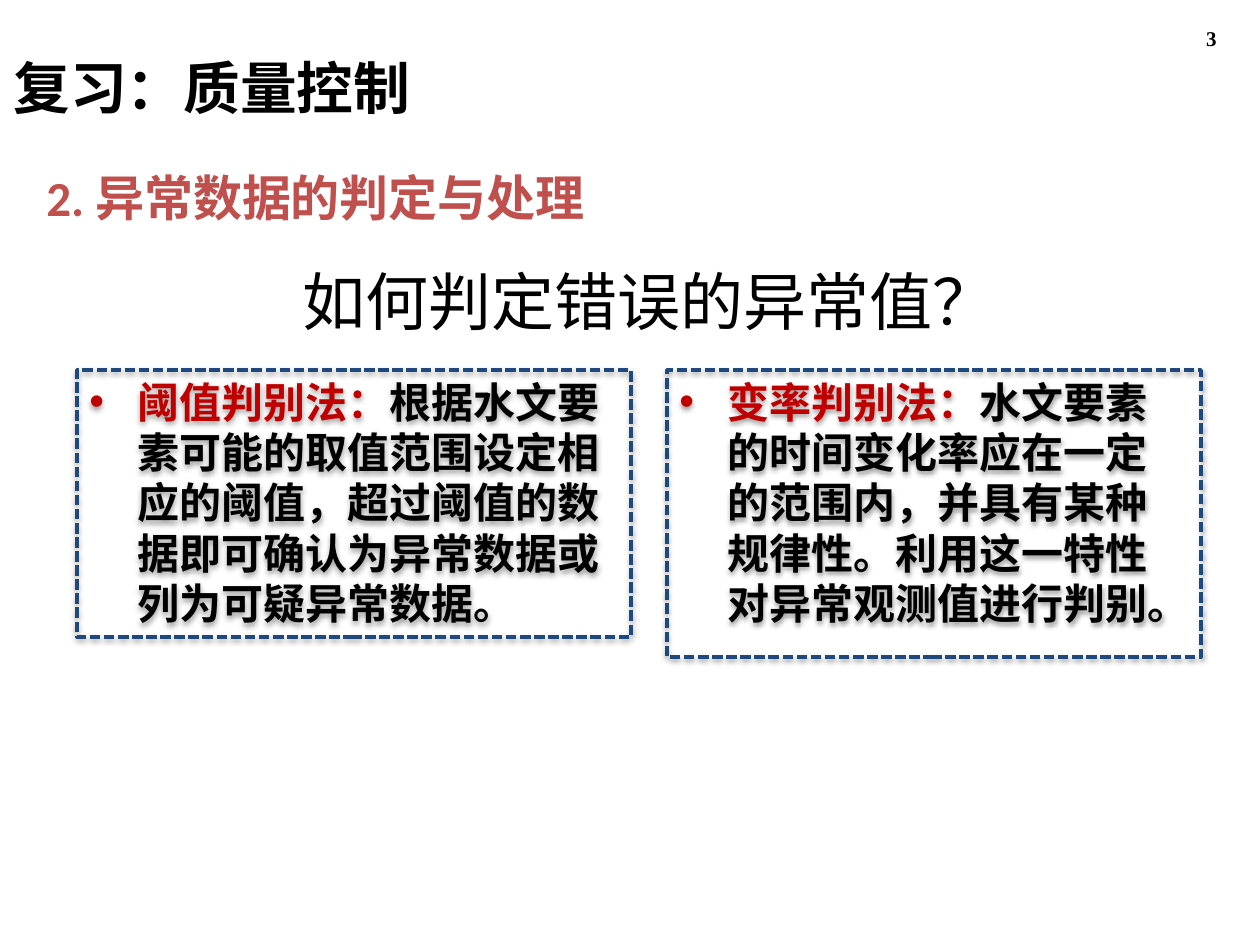
from lxml import etree
from pptx import Presentation
from pptx.dml.color import RGBColor
from pptx.enum.dml import MSO_LINE
from pptx.enum.shapes import MSO_SHAPE
from pptx.enum.text import MSO_ANCHOR, PP_ALIGN
from pptx.oxml import parse_xml
from pptx.oxml.ns import qn
from pptx.util import Pt

PX = 914400 / 126
LEFT, RIGHT = PP_ALIGN.LEFT, PP_ALIGN.RIGHT
TOP, MIDDLE = MSO_ANCHOR.TOP, MSO_ANCHOR.MIDDLE
RECTANGLE, DASH = MSO_SHAPE.RECTANGLE, MSO_LINE.SQUARE_DOT
BLACK = RGBColor(0x00, 0x00, 0x00)
RED = RGBColor(0xC0, 0x00, 0x00)
BRICK = RGBColor(0xC0, 0x50, 0x4D)
NAVY = RGBColor(0x1F, 0x49, 0x7D)
CHINESE_FONT = "Noto Sans CJK SC"
SHADOW = (
    '<a:effectLst xmlns:a="http://schemas.openxmlformats.org/drawingml/2006/main">'
    '<a:outerShdw blurRad="40000" dist="20000" dir="5400000" rotWithShape="0">'
    '<a:srgbClr val="000000"><a:alpha val="38000"/></a:srgbClr>'
    '</a:outerShdw></a:effectLst>'
)


def emu(*lengths):
    return [round(length * PX) for length in lengths]


def write(box, *parts, size, font="Calibri", bold=False, align=LEFT, anchor=TOP):
    """Fill the first paragraph with (text, colour) parts."""
    frame = box.text_frame
    frame.word_wrap = True
    frame.vertical_anchor = anchor
    para = frame.paragraphs[0]
    para.alignment = align
    for text, colour in parts:
        span = para.add_run()
        span.text = text
        span.font.size = Pt(size)
        span.font.name = font
        span.font.bold = bold
        span.font.color.rgb = colour
        east_asian = etree.SubElement(span.font._element, qn("a:ea"))
        east_asian.set("typeface", CHINESE_FONT)
    return para


deck = Presentation()
deck.slide_width, deck.slide_height = emu(1260, 945)
page = deck.slides.add_slide(deck.slide_layouts[6])

# Page number
number = page.shapes.add_textbox(*emu(935, 13, 294, 50))
write(number, ("3", BLACK), size=12, font="Times New Roman", bold=True,
      align=RIGHT, anchor=MIDDLE)

# Two methods in dashed frames
methods = [
    (77, 554, 267, "阈值判别法：",
     "根据水文要素可能的取值范围设定相应的阈值，超过阈值的数据即可确认为异常数据或列为可疑异常数据。"),
    (667, 534, 287, "变率判别法：",
     "水文要素的时间变化率应在一定的范围内，并具有某种规律性。利用这一特性对异常观测值进行判别。"),
]
for left, width, height, name, explanation in methods:
    frame_box = page.shapes.add_shape(RECTANGLE, *emu(left, 370, width, height))
    frame_box.fill.background()
    frame_box.line.color.rgb = NAVY
    frame_box.line.width = Pt(2)
    frame_box.line.dash_style = DASH
    frame_box._element.spPr.append(parse_xml(SHADOW))
    para = write(frame_box, (name, RED), (explanation, BLACK), size=24, bold=True)
    para.space_before = Pt(4.8)
    indent = emu(48)[0]
    properties = para._p.get_or_add_pPr()
    properties.set("marL", str(indent))
    properties.set("indent", str(-indent))
    etree.SubElement(properties, qn("a:buFont")).set("typeface", "Arial")
    etree.SubElement(properties, qn("a:buChar")).set("char", "•")

# Title
title = page.shapes.add_textbox(*emu(1, 62, 847, 50))
write(title, ("复习：质量控制", BLACK), size=32.4, font=CHINESE_FONT, bold=True,
      anchor=MIDDLE)

# Question
question = page.shapes.add_textbox(*emu(290, 256, 755, 89))
write(question, ("如何判定错误的异常值？", BLACK), size=36)

# Section heading
heading = page.shapes.add_textbox(*emu(34, 161, 1048, 72))
write(heading, ("2. 异常数据的判定与处理", BRICK), size=28, bold=True)

deck.save("out.pptx")
